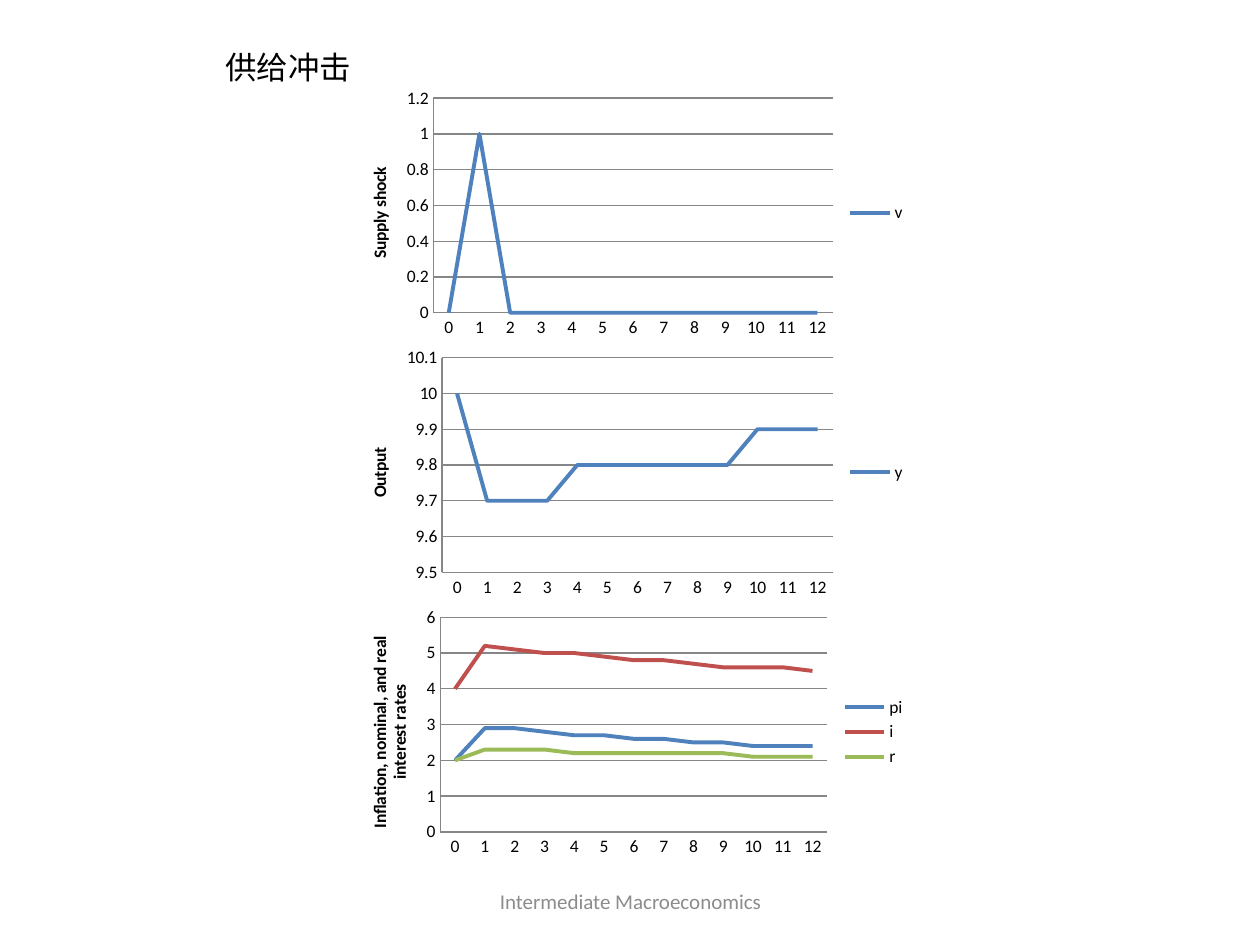
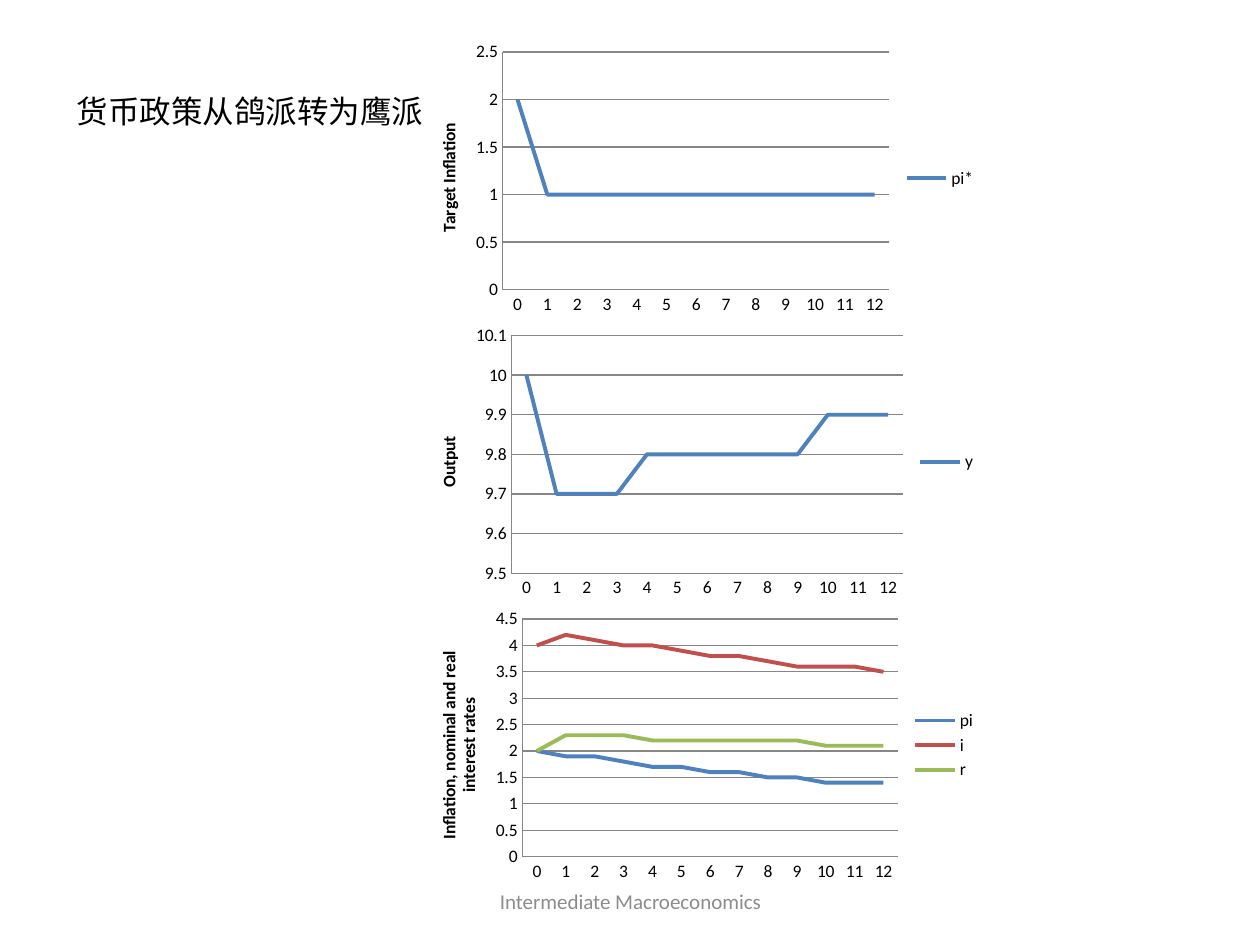
from pptx import Presentation
from pptx import util as u
from pptx.chart.data import CategoryChartData
from pptx.dml.color import RGBColor
from pptx.enum import chart as charts, text

SCALE = 9144
FONT = "Calibri"
BLACK = RGBColor(0x00, 0x00, 0x00)
FOOTER_GREY = RGBColor(0x8C, 0x8C, 0x8C)
LINE_GREY = RGBColor(0x86, 0x86, 0x86)
BLUE = RGBColor(0x4F, 0x81, 0xBD)
RED = RGBColor(0xC0, 0x50, 0x4D)
GREEN = RGBColor(0x9B, 0xBB, 0x59)
SERIES_COLORS = (BLUE, RED, GREEN)

PERIODS = [str(period) for period in range(13)]
OUTPUT = [10, 9.7, 9.7, 9.7, 9.8, 9.8, 9.8, 9.8, 9.8, 9.8, 9.9, 9.9, 9.9]
REAL_RATE = [2, 2.3, 2.3, 2.3, 2.2, 2.2, 2.2, 2.2, 2.2, 2.2, 2.1, 2.1, 2.1]
OUTPUT_PANEL = ("Output", (9.5, 10.1, 0.1), {"y": OUTPUT})

SUPPLY_PANELS = [
    ("Supply shock", (0, 1.2, 0.2), {"v": [0, 1] + [0] * 11}),
    OUTPUT_PANEL,
    ("Inflation, nominal, and real interest rates", (0, 6, 1), {
        "pi": [2, 2.9, 2.9, 2.8, 2.7, 2.7, 2.6, 2.6, 2.5, 2.5, 2.4, 2.4, 2.4],
        "i": [4, 5.2, 5.1, 5, 5, 4.9, 4.8, 4.8, 4.7, 4.6, 4.6, 4.6, 4.5],
        "r": REAL_RATE,
    }),
]
POLICY_PANELS = [
    ("Target Inflation", (0, 2.5, 0.5), {"pi*": [2] + [1] * 12}),
    OUTPUT_PANEL,
    ("Inflation, nominal and real interest rates", (0, 4.5, 0.5), {
        "pi": [2, 1.9, 1.9, 1.8, 1.7, 1.7, 1.6, 1.6, 1.5, 1.5, 1.4, 1.4, 1.4],
        "i": [4, 4.2, 4.1, 4, 4, 3.9, 3.8, 3.8, 3.7, 3.6, 3.6, 3.6, 3.5],
        "r": REAL_RATE,
    }),
]


def px(*lengths):
    return [u.Emu(length * SCALE) for length in lengths]


def write(frame, words, size=10, color=BLACK, bold=False, align=None):
    para = frame.paragraphs[0]
    para.alignment = align
    span = para.add_run()
    span.text = words
    span.font.name = FONT
    span.font.size = u.Pt(size)
    span.font.bold = bold
    span.font.color.rgb = color


def draw_line(line, color, width):
    line.color.rgb = color
    line.width = u.Pt(width)


class ChartDeck:
    def __init__(self):
        self.deck = Presentation()
        self.deck.slide_width, self.deck.slide_height = px(1000, 750)
        self.page = None

    def add_page(self):
        self.page = self.deck.slides.add_slide(self.deck.slide_layouts[6])
        self.add_text("Intermediate Macroeconomics", (342, 695, 317, 40),
                      anchor=text.MSO_ANCHOR.MIDDLE, size=12,
                      color=FOOTER_GREY, align=text.PP_ALIGN.CENTER)

    def add_text(self, words, place, anchor=text.MSO_ANCHOR.TOP, **style):
        frame = self.page.shapes.add_textbox(*px(*place)).text_frame
        frame.word_wrap = True
        frame.vertical_anchor = anchor
        write(frame, words, **style)

    def add_title(self, words, place):
        self.add_text(words, place, size=18)

    def add_line_chart(self, panel, place):
        axis_title, limits, series_values = panel
        data = CategoryChartData()
        data.categories = PERIODS
        for name, values in series_values.items():
            data.add_series(name, values)
        chart = self.page.shapes.add_chart(
            charts.XL_CHART_TYPE.LINE, *px(*place), data).chart
        chart.has_title = False
        chart.font.name = FONT
        chart.font.size = u.Pt(10)
        chart.font.color.rgb = BLACK
        chart.has_legend = True
        chart.legend.position = charts.XL_LEGEND_POSITION.RIGHT
        chart.legend.include_in_layout = False
        chart.plots[0].vary_by_categories = False
        for series, color in zip(chart.plots[0].series, SERIES_COLORS):
            series.smooth = False
            draw_line(series.format.line, color, 2.25)
        self.style_axes(chart, axis_title, limits)

    def style_axes(self, chart, axis_title, limits):
        for axis in (chart.category_axis, chart.value_axis):
            axis.major_tick_mark = charts.XL_TICK_MARK.NONE
            axis.minor_tick_mark = charts.XL_TICK_MARK.NONE
            draw_line(axis.format.line, LINE_GREY, 0.75)
        axis = chart.value_axis
        axis.minimum_scale, axis.maximum_scale, axis.major_unit = limits
        axis.tick_labels.number_format = "General"
        axis.tick_labels.number_format_is_linked = False
        axis.has_major_gridlines = True
        draw_line(axis.major_gridlines.format.line, LINE_GREY, 0.75)
        write(axis.axis_title.text_frame, axis_title, bold=True)

    def stack_charts(self, panels, left, top, width, height):
        for row, panel in enumerate(panels):
            self.add_line_chart(panel, (left, top + row * height, width, height))


def main():
    show = ChartDeck()
    show.add_page()
    show.stack_charts(SUPPLY_PANELS, 272, 66, 457, 206)
    show.add_title("供给冲击", (169, 33, 669, 40))
    show.add_page()
    show.stack_charts(POLICY_PANELS, 327, 29, 458, 225)
    show.add_title("货币政策从鸽派转为鹰派", (51, 68, 299, 40))
    show.deck.save("out.pptx")


if __name__ == "__main__":
    main()
